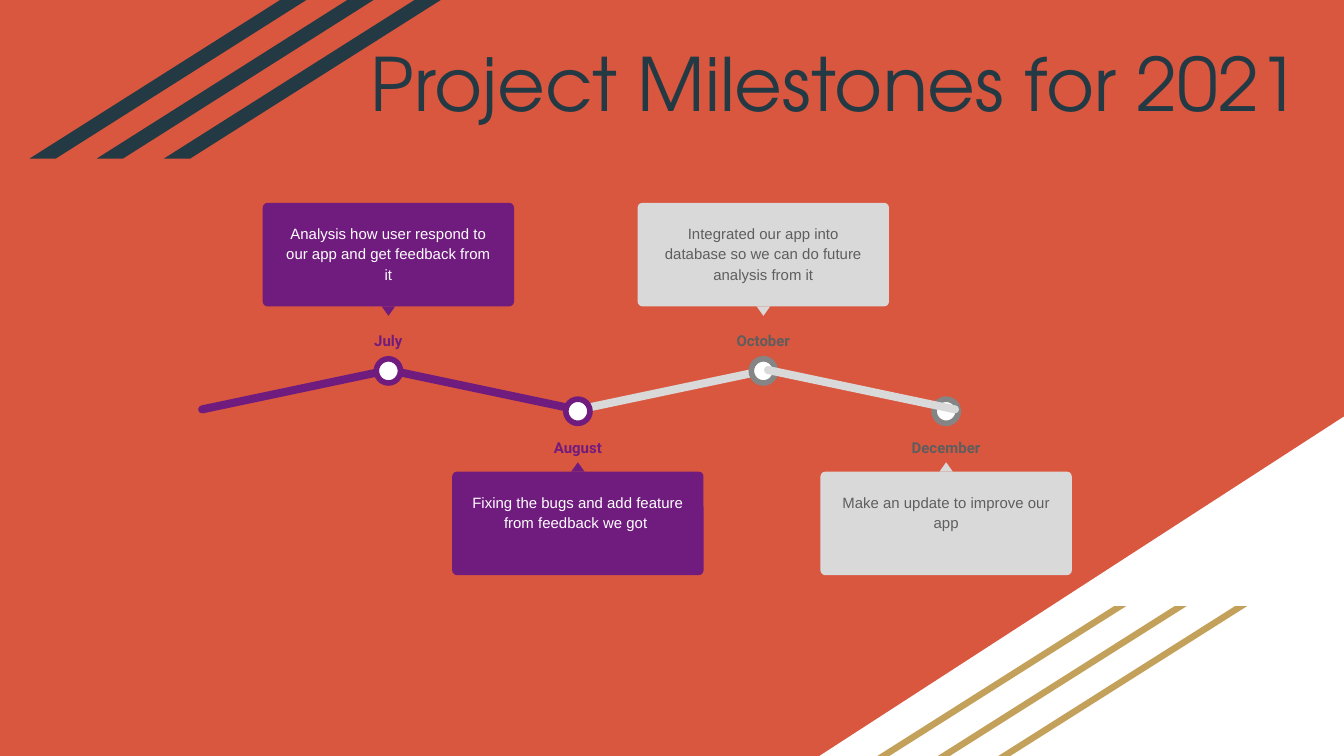
"""Build a project milestones timeline slide."""
from pptx import Presentation
from pptx.dml.color import RGBColor
from pptx.enum.shapes import MSO_SHAPE
from pptx.enum.text import MSO_ANCHOR, PP_ALIGN
from pptx.oxml.ns import qn
from pptx.util import Inches, Pt

RECT, OVAL = MSO_SHAPE.ROUNDED_RECTANGLE, MSO_SHAPE.OVAL
TRIANGLE, CORNER = MSO_SHAPE.ISOSCELES_TRIANGLE, MSO_SHAPE.RIGHT_TRIANGLE
STRIPE = MSO_SHAPE.PARALLELOGRAM
CENTER, TOP, MIDDLE = PP_ALIGN.CENTER, MSO_ANCHOR.TOP, MSO_ANCHOR.MIDDLE

ORANGE = RGBColor(0xD9, 0x56, 0x3F)
NAVY = RGBColor(0x23, 0x3A, 0x44)
GOLD = RGBColor(0xC4, 0xA1, 0x5A)
WHITE = RGBColor(0xFF, 0xFF, 0xFF)
PURPLE = RGBColor(0x70, 0x1C, 0x7F)
LIGHT = RGBColor(0xD9, 0xD9, 0xD9)
GRAY = RGBColor(0x85, 0x85, 0x85)
DARK = RGBColor(0x5E, 0x5E, 0x5E)

TITLE = "Project Milestones for 2021"
DONE = dict(fill=PURPLE, ring=PURPLE, label=PURPLE, text=WHITE)
PLANNED = dict(fill=LIGHT, ring=GRAY, label=DARK, text=DARK)
MILESTONES = [
    ("July", "Analysis how user respond to our app and get feedback from it", 2.89, True, DONE),
    ("August", "Fixing the bugs and add feature from feedback we got ", 4.3, False, DONE),
    ("October", "Integrated our app into database so we can do future analysis from it", 5.68, True, PLANNED),
    ("December", "Make an update to improve our app", 7.04, False, PLANNED),
]
SEGMENT_LEFTS = [1.46, 2.85, 4.27, 5.67]
STRIPES = [
    (6.52, 4.51, 1.86, 1.12, 0.45, GOLD),
    (0.22, 0, 2.06, 1.18, 0.5, NAVY),
]
CARD_W, CARD_H = 1.87, 0.77
BODY_W, BODY_H = 1.77, 0.68
POINTER_W, POINTER_H = 0.1, 0.07
LABEL_W, LABEL_H = 0.76, 0.3
DOT = 0.18
SLOPE = 11.9


def add_shape(kind, x, y, w, h, fill, adj=None, rotation=0):
    s = slide.shapes.add_shape(kind, Inches(x), Inches(y), Inches(w), Inches(h))
    s.shadow.inherit = False
    s.fill.solid()
    s.fill.fore_color.rgb = fill
    s.line.fill.background()
    s.rotation = rotation
    if adj is not None:
        s.adjustments[0] = adj
    return s


def add_text(text, x, y, w, h, font, size, color, bold=False, anchor=TOP):
    s = slide.shapes.add_textbox(Inches(x), Inches(y), Inches(w), Inches(h))
    tf = s.text_frame
    tf.word_wrap = True
    tf.vertical_anchor = anchor
    tf.margin_left = tf.margin_right = tf.margin_top = tf.margin_bottom = Inches(0.1)
    p = tf.paragraphs[0]
    p.text = text
    p.alignment = CENTER
    p.font.name, p.font.size, p.font.bold = font, Pt(size), bold
    p.font.color.rgb = color
    return s


def add_segment(index):
    rising = index % 2 == 0
    fill = MILESTONES[index][4]["fill"]
    add_shape(RECT, SEGMENT_LEFTS[index], 2.87, 1.48, 0.06, fill, 0.5,
              -SLOPE if rising else SLOPE)


def add_milestone(month, detail, cx, above, style):
    card_y, pointer_y, label_y, dot_y = (
        (1.51, 2.28, 2.37, 2.67) if above else (3.51, 3.44, 3.17, 2.97))
    add_shape(RECT, cx - CARD_W / 2, card_y, CARD_W, CARD_H, style["fill"], 0.045)
    add_shape(TRIANGLE, cx - POINTER_W / 2, pointer_y, POINTER_W, POINTER_H,
              style["fill"], rotation=180 if above else 0)
    label = add_text(month, cx - LABEL_W / 2, label_y, LABEL_W, LABEL_H,
                     "Roboto", 8, style["label"], True)
    body = add_text(detail, cx - BODY_W / 2, card_y + 0.04, BODY_W, BODY_H,
                    "Arial", 8, style["text"])
    for s in (label, body):
        s.text_frame.paragraphs[0].line_spacing = 1.15
    dot = add_shape(OVAL, cx - DOT / 2, dot_y, DOT, DOT, WHITE)
    dot.line.color.rgb = style["ring"]
    dot.line.width = Pt(3)


prs = Presentation()
prs.slide_width = Inches(10)
prs.slide_height = prs.slide_width * 9 // 16
slide = prs.slides.add_slide(prs.slide_layouts[6])
slide.background.fill.solid()
slide.background.fill.fore_color.rgb = ORANGE

corner = add_shape(CORNER, 6.09, 3.1, 3.91, 2.53, WHITE)
corner.element.spPr.find(qn("a:xfrm")).set("flipH", "1")
for x, y, w, h, step, color in STRIPES:
    for i in range(3):
        add_shape(STRIPE, x + i * step, y, w, h, color, 1.58)

title = add_text(TITLE, 2.38, 0, 7.67, 1.51, "TeX Gyre Adventor", 39.4, NAVY, anchor=MIDDLE)
title.text_frame.margin_bottom = Inches(0.39)

for i in range(3):
    add_segment(i)
for milestone in MILESTONES:
    add_milestone(*milestone)
add_segment(3)

prs.save("out.pptx")
